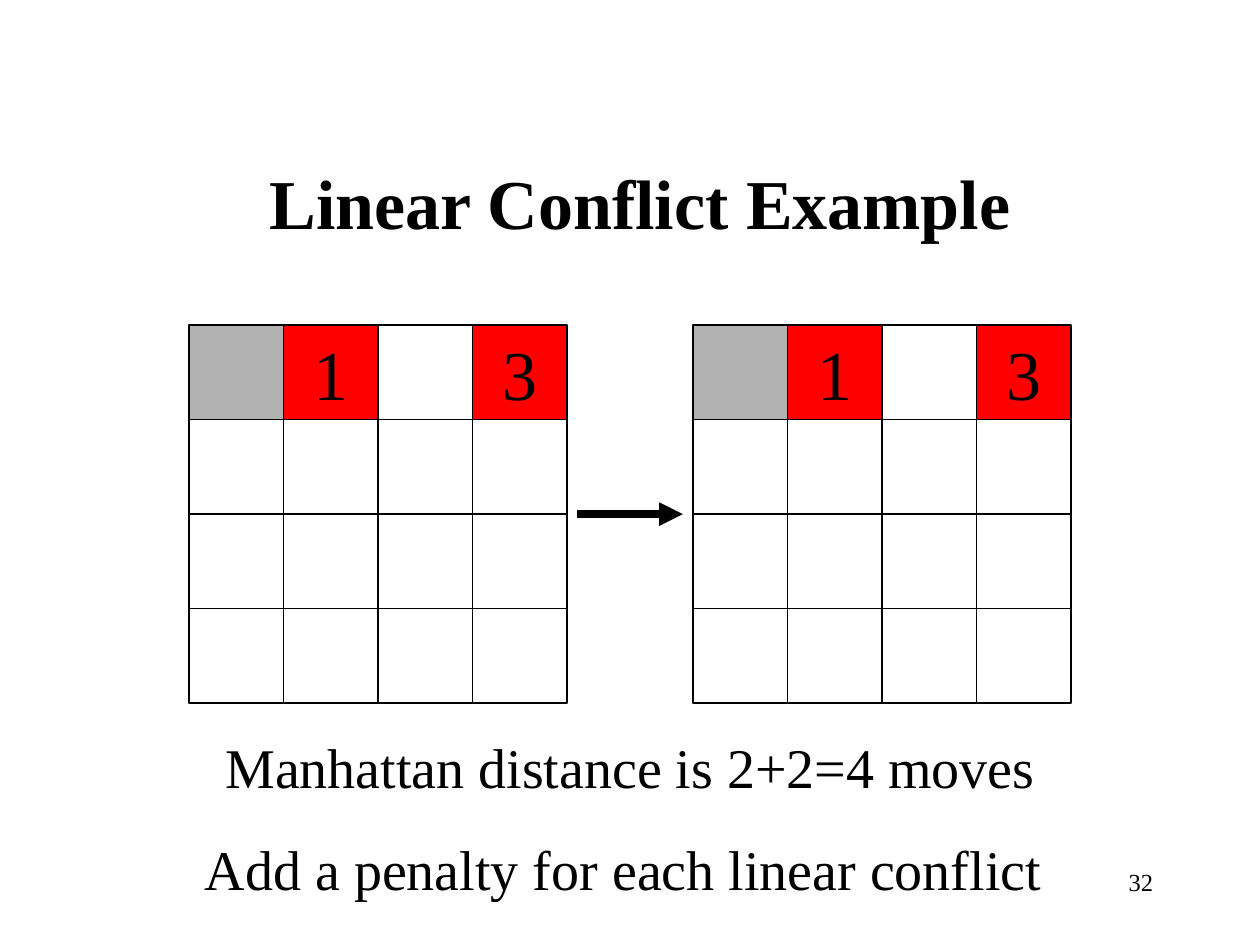
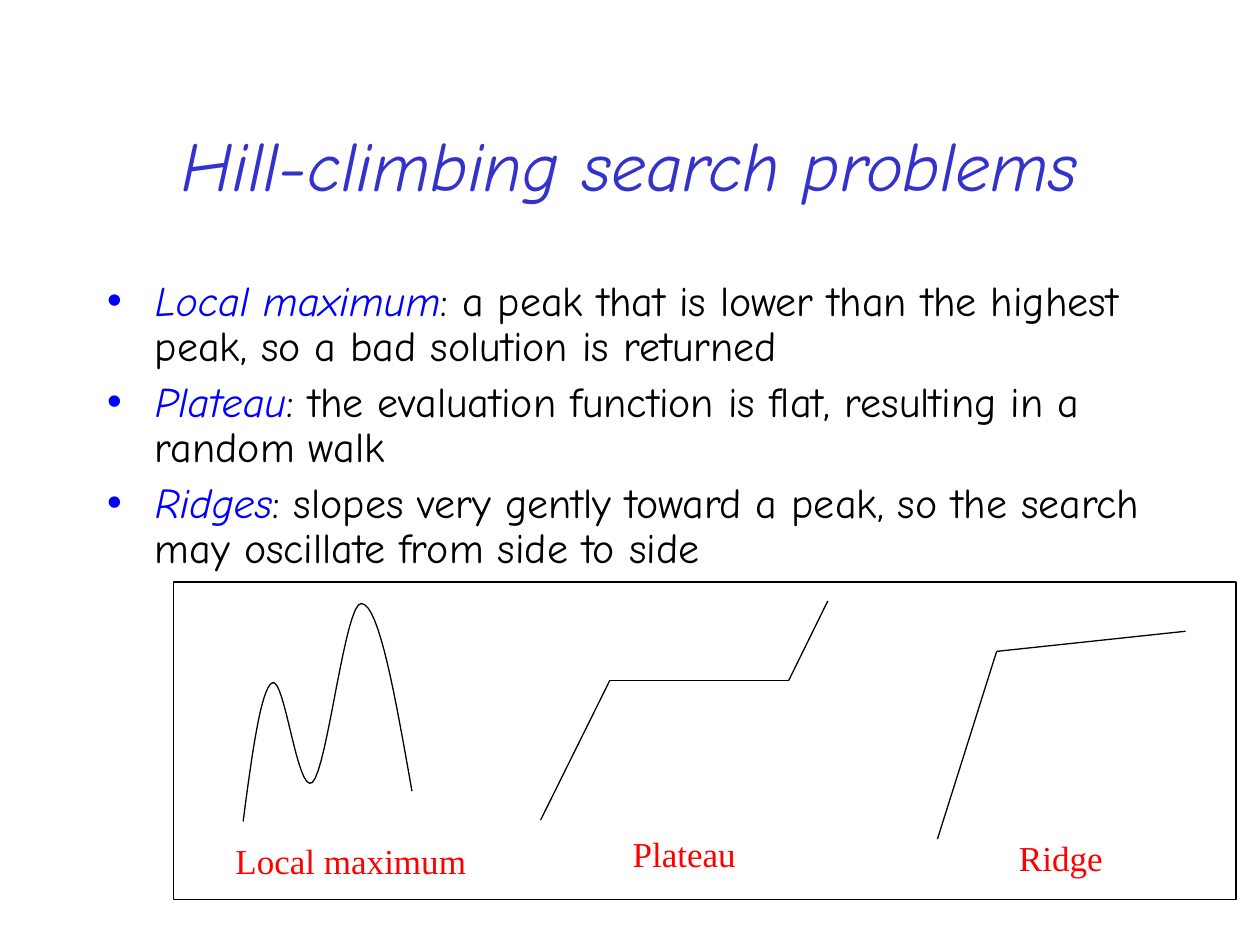
import pptx
import pptx.util
from lxml import etree
from pptx.dml.color import RGBColor
from pptx.enum.shapes import MSO_CONNECTOR, MSO_SHAPE
from pptx.enum.text import MSO_ANCHOR, MSO_AUTO_SIZE, PP_ALIGN
from pptx.oxml.ns import qn

BLACK = RGBColor(0x00, 0x00, 0x00)
WHITE = RGBColor(0xFF, 0xFF, 0xFF)
GREY = RGBColor(0xB2, 0xB2, 0xB2)
RED = RGBColor(0xFF, 0x00, 0x00)
BLUE = RGBColor(0x00, 0x00, 0xFF)
INDIGO = RGBColor(0x33, 0x33, 0xCC)
SERIF = "Times New Roman"
CASUAL = "Comic Neue"

deck = pptx.Presentation()
deck.slide_width = pptx.util.Inches(10)
deck.slide_height = pptx.util.Inches(7.5)


def span(*shares):
    """Turn percentages of the slide width into lengths, for both axes."""
    return [round(deck.slide_width * share / 100) for share in shares]


def write(shape, *paragraphs, size, font=SERIF, color=BLACK, bold=False, italic=False,
          align=PP_ALIGN.CENTER, before=0, line_spacing=None,
          anchor=MSO_ANCHOR.MIDDLE, wrap=True, term_color=None):
    """Fill a shape with text; term_color sets the words before a colon apart in italics."""
    frame = shape.text_frame
    frame.auto_size = MSO_AUTO_SIZE.NONE
    frame.word_wrap = wrap
    frame.vertical_anchor = anchor
    for number, text in enumerate(paragraphs):
        paragraph = frame.add_paragraph() if number else frame.paragraphs[0]
        paragraph.alignment = align
        paragraph.space_before = pptx.util.Pt(before)
        paragraph.line_spacing = line_spacing
        pieces = [(text, color, italic)]
        if term_color is not None:
            term, colon, meaning = text.partition(":")
            pieces = [(term, term_color, True), (colon + meaning, color, italic)]
        for words, piece_color, slanted in pieces:
            run = paragraph.add_run()
            run.text = words
            run.font.name = font
            run.font.size = pptx.util.Pt(size)
            run.font.color.rgb = piece_color
            run.font.bold = bold
            run.font.italic = slanted


outlined = []

# Linear conflict
conflict = deck.slides.add_slide(deck.slide_layouts[5])
heading = conflict.shapes.title
heading.left, heading.top, heading.width, heading.height = span(5.8, 12.5, 90, 7)
write(heading, "Linear Conflict Example", size=40, bold=True)

CELL = 7.5
BOARD_TOP = 25.8
TILES = {(0, 0): (GREY, ""), (0, 1): (RED, "1"), (0, 3): (RED, "3")}
for board_left in (15, 55):
    for row in range(4):
        for column in range(4):
            cell = conflict.shapes.add_shape(
                MSO_SHAPE.RECTANGLE,
                *span(board_left + column * CELL, BOARD_TOP + row * CELL, CELL, CELL))
            cell.fill.background()
            if (row, column) in TILES:
                tile_color, digit = TILES[row, column]
                cell.fill.solid()
                cell.fill.fore_color.rgb = tile_color
                if digit:
                    write(cell, digit, size=40, wrap=False)
            outlined.append((cell, 0.75))

middle = BOARD_TOP + 2 * CELL
move = conflict.shapes.add_connector(MSO_CONNECTOR.STRAIGHT, *span(45.8, middle, 54.2, middle))
outlined.append((move, 4.5))

write(conflict.shapes.add_textbox(*span(14.2, 57.6, 71.7, 14.5)),
      "Manhattan distance is 2+2=4 moves", "Add a penalty for each linear conflict ",
      size=32, before=20)
write(conflict.shapes.add_textbox(*span(71.7, 68.3, 20.8, 5)), "32",
      size=14, align=PP_ALIGN.RIGHT, anchor=MSO_ANCHOR.TOP)

# Hill climbing
climbing = deck.slides.add_slide(deck.slide_layouts[1])
heading, problems = climbing.placeholders
heading.left, heading.top, heading.width, heading.height = span(7.5, 6.7, 85, 12.5)
write(heading, "Hill-climbing search problems", size=40, font=CASUAL, color=INDIGO, italic=True)

problems.left, problems.top, problems.width, problems.height = span(7.5, 21.7, 85, 27.6)
write(problems,
      "Local maximum: a peak that is lower than the highest peak, so a bad solution is returned",
      "Plateau: the evaluation function is flat, resulting in a random walk",
      "Ridges: slopes very gently toward a peak, so the search may oscillate from side to side",
      size=24, font=CASUAL, align=PP_ALIGN.LEFT, before=6, line_spacing=0.9,
      anchor=MSO_ANCHOR.TOP, term_color=BLUE)
indent, = span(3.8)
for paragraph in problems.text_frame.paragraphs:
    properties = paragraph._p.get_or_add_pPr()
    properties.set("marL", str(indent))
    properties.set("indent", str(-indent))
    bullet_color = etree.SubElement(properties, qn("a:buClr"))
    etree.SubElement(bullet_color, qn("a:srgbClr"), val=str(BLUE))
    etree.SubElement(properties, qn("a:buChar"), char="•")

sketch_frame = climbing.shapes.add_shape(MSO_SHAPE.RECTANGLE, *span(13.8, 46.2, 84.3, 25.2))
sketch_frame.fill.solid()
sketch_frame.fill.fore_color.rgb = WHITE
climbing.shapes._spTree.insert(2, sketch_frame._element)
outlined.append((sketch_frame, 0.75))

# Each peak curve runs from the last point through two control points to the next.
PEAKS_START = (19.3, 65.2)
PEAKS = [
    ((20, 59.9), (20.7, 54.7), (21.6, 54.2)),
    ((22.6, 53.6), (23.6, 63.1), (24.8, 62.1)),
    ((26, 61), (27.4, 47.7), (28.7, 47.9)),
    ((30.1, 48), (31.4, 55.4), (32.7, 62.8)),
]
STEPS = 16
outline = []
start = PEAKS_START
for first, second, end in PEAKS:
    for step in range(1, STEPS + 1):
        t = step / STEPS
        outline.append(span(*(
            (1 - t) ** 3 * a + 3 * (1 - t) ** 2 * t * b + 3 * (1 - t) * t ** 2 * c + t ** 3 * d
            for a, b, c, d in zip(start, first, second, end))))
    start = end
builder = climbing.shapes.build_freeform(*span(*PEAKS_START))
builder.add_line_segments(outline, close=False)
peaks = builder.convert_to_shape()
peaks.fill.background()
outlined.append((peaks, 0.75))

PLATEAU = [(42.9, 65.1), (48.4, 54), (62.6, 54), (65.7, 47.7)]
RIDGE = [(74.4, 66.6), (79.1, 51.7), (94.1, 50.1)]
for slope in (PLATEAU, RIDGE):
    for begin, end in zip(slope, slope[1:]):
        stretch = climbing.shapes.add_connector(MSO_CONNECTOR.STRAIGHT, *span(*begin, *end))
        outlined.append((stretch, 0.75))

for caption, left, top, width in (("Local maximum", 17.7, 66.1, 20.3),
                                  ("Plateau", 49.2, 65.6, 10.2),
                                  ("Ridge", 79.9, 65.9, 8.6)):
    write(climbing.shapes.add_textbox(*span(left, top, width, 4.4)), caption,
          size=20, color=RED, before=5, anchor=MSO_ANCHOR.TOP, wrap=False)

# Shared line style
for figure, weight in outlined:
    figure.line.color.rgb = BLACK
    figure.line.width = pptx.util.Pt(weight)
    etree.SubElement(figure._element.spPr, qn("a:effectLst"))
etree.SubElement(move.line._get_or_add_ln(), qn("a:tailEnd"), type="triangle")

deck.save("out.pptx")
